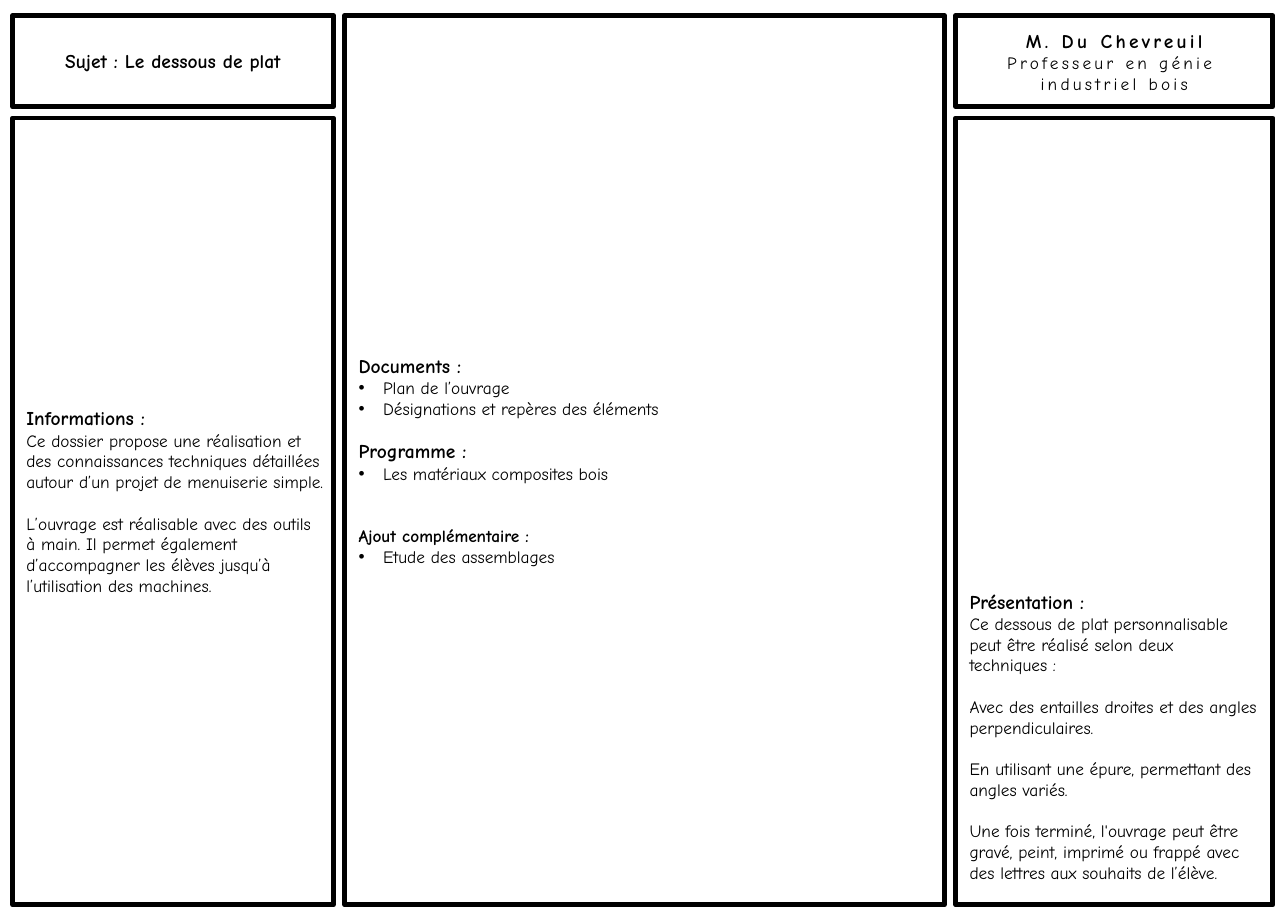
from lxml import etree
from pptx import Presentation
from pptx.dml.color import RGBColor
from pptx.enum.shapes import MSO_SHAPE
from pptx.enum.text import MSO_ANCHOR, PP_ALIGN
from pptx.oxml.ns import qn
from pptx.util import Cm, Pt

RECTANGLE = MSO_SHAPE.RECTANGLE
TOP, MIDDLE, BOTTOM = MSO_ANCHOR.TOP, MSO_ANCHOR.MIDDLE, MSO_ANCHOR.BOTTOM
LEFT, CENTER = PP_ALIGN.LEFT, PP_ALIGN.CENTER

COLORS = {"ink": "000000", "paper": "FFFFFF"}
FONT = "Comic Neue"

# Style: size, bold, alignment, left margin (cm), first-line indent (cm), letter spacing (pt)
STYLES = {
    "title": (18, True, CENTER, 0, 0, 0),
    "author": (18, True, CENTER, 0, 0, 3),
    "role": (16, False, CENTER, 0, 0, 3),
    "heading": (18, True, LEFT, 0.2, 0, 0),
    "subheading": (16, True, LEFT, 0.2, 0, 0),
    "body": (16, False, LEFT, 0.2, 0, 0),
    "bullet": (16, False, LEFT, 1, -0.8, 0),
}
LINE = 19.2  # height of one body line, in points

# Paragraph: style, text, empty lines above
SUBJECT = [("title", "Sujet : Le dessous de plat", 0)]
AUTHOR = [
    ("author", "M. Du Chevreuil", 0),
    ("role", "Professeur en génie ", 0),
    ("role", "industriel bois", 0),
]
INFORMATION = [
    ("heading", "Informations :", 0),
    ("body", "Ce dossier propose une réalisation et des connaissances techniques "
             "détaillées autour d’un projet de menuiserie simple.", 0),
    ("body", "L’ouvrage est réalisable avec des outils à main. Il permet également "
             "d’accompagner les élèves jusqu’à l’utilisation des machines.", 1),
]
CONTENTS = [
    ("heading", "Documents :", 0),
    ("bullet", "Plan de l’ouvrage", 0),
    ("bullet", "Désignations et repères des éléments", 0),
    ("heading", "Programme :", 1),
    ("bullet", "Les matériaux composites bois", 0),
    ("subheading", "Ajout complémentaire :", 2),
    ("bullet", "Etude des assemblages", 0),
]
PRESENTATION = [
    ("heading", "Présentation :", 0),
    ("body", "Ce dessous de plat personnalisable peut être réalisé selon deux "
             "techniques :", 0),
    ("body", "Avec des entailles droites et des angles perpendiculaires.", 1),
    ("body", "En utilisant une épure, permettant des angles variés.", 1),
    ("body", "Une fois terminé, l'ouvrage peut être gravé, peint, imprimé ou frappé "
             "avec des lettres aux souhaits de l’élève.", 1),
]

PAGE_WIDTH, PAGE_HEIGHT = 41.99, 30
MARGIN_LEFT, MARGIN_TOP, GAP = 0.41, 0.51, 0.37
COLUMN_WIDTHS = [10.46, 19.55, 10.34]
HEADER_HEIGHT, FULL_HEIGHT = 2.97, 29
BODY_TOP = MARGIN_TOP + HEADER_HEIGHT + GAP
BODY_HEIGHT = FULL_HEIGHT - HEADER_HEIGHT - GAP

# Panel: column, top, height, anchor, bottom inset (cm), paragraphs
PANELS = [
    (1, MARGIN_TOP, FULL_HEIGHT, MIDDLE, 0.13, CONTENTS),
    (0, BODY_TOP, BODY_HEIGHT, MIDDLE, 0.8, INFORMATION),
    (2, BODY_TOP, BODY_HEIGHT, BOTTOM, 0.72, PRESENTATION),
    (2, MARGIN_TOP, HEADER_HEIGHT, MIDDLE, 0.13, AUTHOR),
    (0, MARGIN_TOP, HEADER_HEIGHT, MIDDLE, 0.13, SUBJECT),
]


def color(name):
    return RGBColor.from_string(COLORS[name])


def write_paragraph(para, style, text, empty_lines):
    size, bold, alignment, margin, indent, spacing = STYLES[style]
    para.alignment = alignment
    para.space_before = Pt(empty_lines * LINE)
    properties = para._p.get_or_add_pPr()
    properties.set("marL", str(Cm(margin)))
    properties.set("indent", str(Cm(indent)))
    if style == "bullet":
        etree.SubElement(properties, qn("a:buFont")).set("typeface", "Arial")
        etree.SubElement(properties, qn("a:buChar")).set("char", "•")

    span = para.add_run()
    span.text = text
    span.font.name = FONT
    span.font.size = Pt(size)
    span.font.bold = bold
    span.font.color.rgb = color("ink")
    if spacing:
        span._r.get_or_add_rPr().set("spc", str(spacing * 100))


def add_panel(page, column, top, height, anchor, bottom_inset, paragraphs):
    left = MARGIN_LEFT + sum(COLUMN_WIDTHS[:column]) + column * GAP
    box = page.shapes.add_shape(
        RECTANGLE, Cm(left), Cm(top), Cm(COLUMN_WIDTHS[column]), Cm(height))
    box.shadow.inherit = False
    box.fill.solid()
    box.fill.fore_color.rgb = color("paper")
    box.line.color.rgb = color("ink")
    box.line.width = Pt(4.5)

    frame = box.text_frame
    frame.word_wrap = True
    frame.vertical_anchor = anchor
    frame.margin_bottom = Cm(bottom_inset)
    for index, content in enumerate(paragraphs):
        para = frame.add_paragraph() if index else frame.paragraphs[0]
        write_paragraph(para, *content)


def main():
    deck = Presentation()
    deck.slide_width, deck.slide_height = Cm(PAGE_WIDTH), Cm(PAGE_HEIGHT)
    page = deck.slides.add_slide(deck.slide_layouts[6])
    for panel in PANELS:
        add_panel(page, *panel)
    deck.save("out.pptx")


if __name__ == "__main__":
    main()
